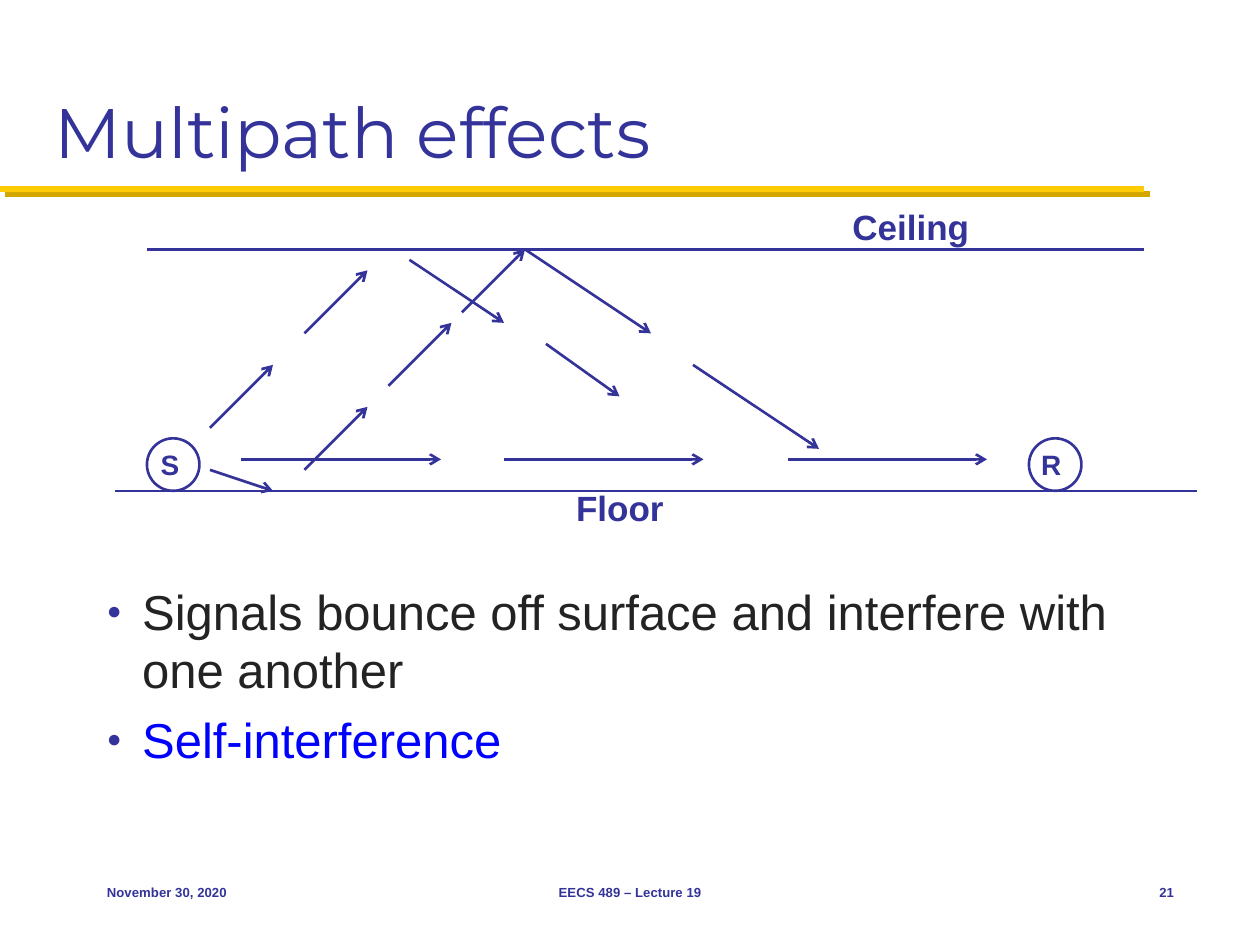
from lxml import etree
from pptx import Presentation
from pptx.dml.color import RGBColor
from pptx.enum.shapes import MSO_CONNECTOR, MSO_SHAPE
from pptx.enum.text import MSO_ANCHOR, PP_ALIGN
from pptx.oxml.ns import qn
from pptx.util import Inches, Pt

STRAIGHT = MSO_CONNECTOR.STRAIGHT
OVAL = MSO_SHAPE.OVAL
TOP, MIDDLE, BOTTOM = MSO_ANCHOR.TOP, MSO_ANCHOR.MIDDLE, MSO_ANCHOR.BOTTOM
LEFT, CENTER, RIGHT = PP_ALIGN.LEFT, PP_ALIGN.CENTER, PP_ALIGN.RIGHT

NAVY = RGBColor(0x33, 0x33, 0x99)
INK = RGBColor(0x23, 0x23, 0x23)
BLUE = RGBColor(0x00, 0x00, 0xFF)
GOLD = RGBColor(0xFF, 0xCB, 0x05)
DARK_GOLD = RGBColor(0xD3, 0xA6, 0x00)

COLUMNS, ROWS = 120, 90
CEILING, FLOOR, DIRECT = 23.75, 46.75, 43.75


def add_child(parent, tag, **attributes):
    return etree.SubElement(parent, qn(tag), attributes)


class SlideBuilder:
    """Draws styled elements on one slide, placed by grid columns and rows."""

    def __init__(self, deck):
        self.column = deck.slide_width / COLUMNS
        self.row = deck.slide_height / ROWS
        self.shapes = deck.slides.add_slide(deck.slide_layouts[6]).shapes

    def place(self, x, y):
        return round(x * self.column), round(y * self.row)

    def fill_text(self, shape, lines, size, align=LEFT, anchor=TOP, bold=False,
                  font="Arial", wrap=False, bullets=False):
        frame = shape.text_frame
        frame.word_wrap = wrap
        frame.vertical_anchor = anchor
        for index, (text, color) in enumerate(lines):
            para = frame.paragraphs[0] if index == 0 else frame.add_paragraph()
            para.text = text
            para.alignment = align
            if index:
                para.space_before = Pt(6)
            if bullets:
                self.bullet(para)
            para.font.name = font
            para.font.size = Pt(size)
            para.font.bold = bold
            para.font.color.rgb = color

    def bullet(self, para):
        properties = para._p.get_or_add_pPr()
        properties.set("marL", str(Inches(0.28)))
        properties.set("indent", str(-Inches(0.28)))
        color = add_child(properties, "a:buClr")
        add_child(color, "a:srgbClr", val=str(NAVY))
        add_child(properties, "a:buSzPct", val="50000")
        add_child(properties, "a:buFont", typeface="Arial")
        add_child(properties, "a:buChar", char="●")

    def text(self, x, y, width, height, lines, size, **style):
        box = self.shapes.add_textbox(*self.place(x, y), *self.place(width, height))
        self.fill_text(box, lines, size, **style)

    def station(self, x, name):
        circle = self.shapes.add_shape(OVAL, *self.place(x, FLOOR - 5), *self.place(5, 5))
        circle.shadow.inherit = False
        circle.fill.background()
        circle.line.color.rgb = NAVY
        circle.line.width = Pt(1.5)
        self.fill_text(circle, [(name, NAVY)], 16, align=RIGHT, anchor=MIDDLE, bold=True)

    def line(self, start, end, color=NAVY, width=1.5, arrow=False, shadow=None):
        connector = self.shapes.add_connector(STRAIGHT, *self.place(*start), *self.place(*end))
        connector.line.color.rgb = color
        connector.line.width = Pt(width)
        properties = connector._element.spPr
        if arrow:
            add_child(properties.find(qn("a:ln")), "a:tailEnd", type="arrow")
        effects = add_child(properties, "a:effectLst")
        if shadow:
            cast = add_child(effects, "a:outerShdw", dist=str(Pt(4.2)), dir="2700000",
                             algn="ctr", rotWithShape="0")
            add_child(cast, "a:srgbClr", val=str(shadow))

    def ray(self, x, y, across, down):
        self.line((x, CEILING + y), (x + across, CEILING + y + down), arrow=True)


def main():
    deck = Presentation()
    deck.slide_width, deck.slide_height = Inches(10), Inches(7.5)
    page = SlideBuilder(deck)

    page.line((0, 18), (109, 18), GOLD, 3.5, shadow=DARK_GOLD)
    page.text(4, 2, 112, 15, [("Multipath effects", NAVY)], 40,
              anchor=BOTTOM, font="Montserrat", wrap=True)
    page.text(9, 54.75, 104, 24.25,
              [("Signals bounce off surface and interfere with one another", INK),
               ("Self-interference", BLUE)], 28, wrap=True, bullets=True)

    for x, name in ((14, "S"), (98, "R")):
        page.station(x, name)
    page.line((11, FLOOR), (114, FLOOR))
    page.line((14, CEILING), (109, CEILING))

    for x in (23, 48, 75):
        page.ray(x, DIRECT - CEILING, 19, 0)
    for x, y in ((20, 17), (29, 8), (29, 21), (37, 13), (44, 6)):
        page.ray(x, y, 6, -6)
    for x, y, across, down in ((20, 21, 6, 2), (39, 1, 9, 6), (52, 9, 7, 5),
                               (50, 0, 12, 8), (66, 11, 12, 8)):
        page.ray(x, y, across, down)

    for x, y, width, name in ((79.8, 19, 13.7, "Ceiling"), (53.6, 45.75, 10.8, "Floor")):
        page.text(x, y, width, 5.25, [(name, NAVY)], 20, align=RIGHT, bold=True)

    for x, width, label, align in ((9, 25, "November 30, 2020", LEFT),
                                   (41, 38, "EECS 489 – Lecture 19", CENTER),
                                   (105, 8, "21", RIGHT)):
        page.text(x, 82, width, 6, [(label, NAVY)], 7.5,
                  align=align, anchor=MIDDLE, bold=True)

    deck.save("out.pptx")


if __name__ == "__main__":
    main()
